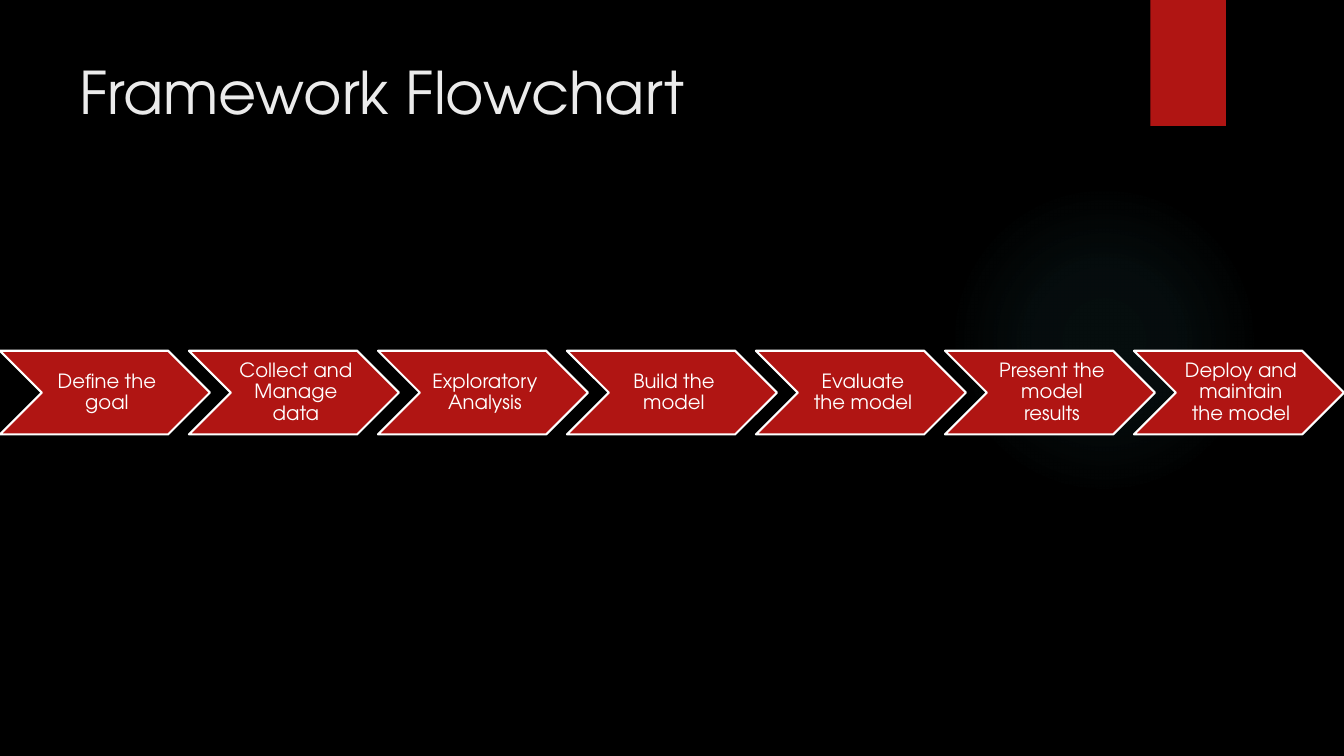
from lxml import etree
from pptx import Presentation
from pptx import util as u
from pptx.dml.color import RGBColor
from pptx.enum import shapes, text
from pptx.oxml import ns

COLORS = {"background": "000000", "accent": "B01513", "glow": "50B9C1",
          "title": "EBEBEB", "white": "FFFFFF", "shadow": "000000"}
FONT = "TeX Gyre Adventor"
SLIDE_WIDTH, SLIDE_HEIGHT = 13.33, 7.5
STEPS = ["Define the goal", "Collect and Manage data", "Exploratory Analysis",
         "Build the model", "Evaluate the model", "Present the model results",
         "Deploy and maintain the model"]


def rgb(name):
    return RGBColor.from_string(COLORS[name])


def add_xml(parent, tag, **attributes):
    return etree.SubElement(parent, ns.qn(tag), {k: str(v) for k, v in attributes.items()})


def add_color(parent, name, opacity):
    color = add_xml(parent, "a:srgbClr", val=COLORS[name])
    add_xml(color, "a:alpha", val=opacity * 1000)


def write_text(frame, words, size, color, align, anchor, margins=(0.1, 0.05, 0.1, 0.05),
               line_spacing=1.0, space_after=0):
    frame.word_wrap = True
    frame.auto_size = text.MSO_AUTO_SIZE.NONE
    frame.vertical_anchor = anchor
    (frame.margin_left, frame.margin_top,
     frame.margin_right, frame.margin_bottom) = map(u.Inches, margins)
    paragraph = frame.paragraphs[0]
    paragraph.alignment = align
    paragraph.line_spacing = line_spacing
    paragraph.space_after = u.Pt(space_after)
    run = paragraph.add_run()
    run.text = words
    run.font.size = u.Pt(size)
    run.font.name = FONT
    run.font.color.rgb = rgb(color)


def add_block(slide, kind, box, fill=None):
    block = slide.shapes.add_shape(kind, *map(u.Inches, box))
    block.shadow.inherit = False
    block.line.fill.background()
    if fill:
        block.fill.solid()
        block.fill.fore_color.rgb = rgb(fill)
    else:
        block.fill.background()
    return block


def add_glow(slide, box):
    glow = add_block(slide, shapes.MSO_SHAPE.OVAL, box)
    properties = glow.element.spPr
    gradient = etree.Element(ns.qn("a:gradFill"), rotWithShape="1")
    stops = add_xml(gradient, "a:gsLst")
    for position, opacity in ((0, 7), (36, 6), (69, 0)):
        add_color(add_xml(stops, "a:gs", pos=position * 1000), "glow", opacity)
    radial = add_xml(gradient, "a:path", path="circle")
    add_xml(radial, "a:fillToRect", l=50000, t=50000, r=50000, b=50000)
    properties.replace(properties.find(ns.qn("a:noFill")), gradient)


def add_banner(slide, box):
    banner = add_block(slide, shapes.MSO_SHAPE.RECTANGLE, box, "accent")
    effects = banner.element.spPr.find(ns.qn("a:effectLst"))
    shadow = add_xml(effects, "a:outerShdw", blurRad=u.Pt(3), dist=u.Pt(2),
                     dir=90 * 60000, rotWithShape=0)
    add_color(shadow, "shadow", 45)


def add_title(slide, box):
    title = slide.shapes.title
    title.left, title.top, title.width, title.height = map(u.Inches, box)
    write_text(title.text_frame, "Framework Flowchart", 42, "title",
               text.PP_ALIGN.LEFT, text.MSO_ANCHOR.TOP)


def add_flow(slide, box):
    left, top, width, height = box
    # Each chevron overlaps the next by a tenth of its width
    step_width = width / (0.9 * len(STEPS) + 0.1)
    for index, words in enumerate(STEPS):
        step_box = (left + index * 0.9 * step_width, top, step_width, height)
        step = add_block(slide, shapes.MSO_SHAPE.CHEVRON, step_box, "accent")
        step.line.color.rgb = rgb("white")
        step.line.width = u.Pt(1.5)
        write_text(step.text_frame, words, 14, "white", text.PP_ALIGN.CENTER,
                   text.MSO_ANCHOR.MIDDLE, margins=(0.06, 0.02, 0.02, 0.02),
                   line_spacing=0.9, space_after=4.9)


def main():
    deck = Presentation()
    deck.slide_width, deck.slide_height = u.Inches(SLIDE_WIDTH), u.Inches(SLIDE_HEIGHT)
    slide = deck.slides.add_slide(deck.slide_layouts[5])
    slide.background.fill.solid()
    slide.background.fill.fore_color.rgb = rgb("background")

    # Backdrop
    add_glow(slide, (9.41, 1.83, 3.08, 3.08))
    add_banner(slide, (11.41, 0, 0.75, 1.25))
    # Content
    add_title(slide, (0.69, 0.5, 10.29, 1.53))
    add_flow(slide, (0, 3.48, SLIDE_WIDTH, 0.83))

    deck.save("out.pptx")


if __name__ == "__main__":
    main()
